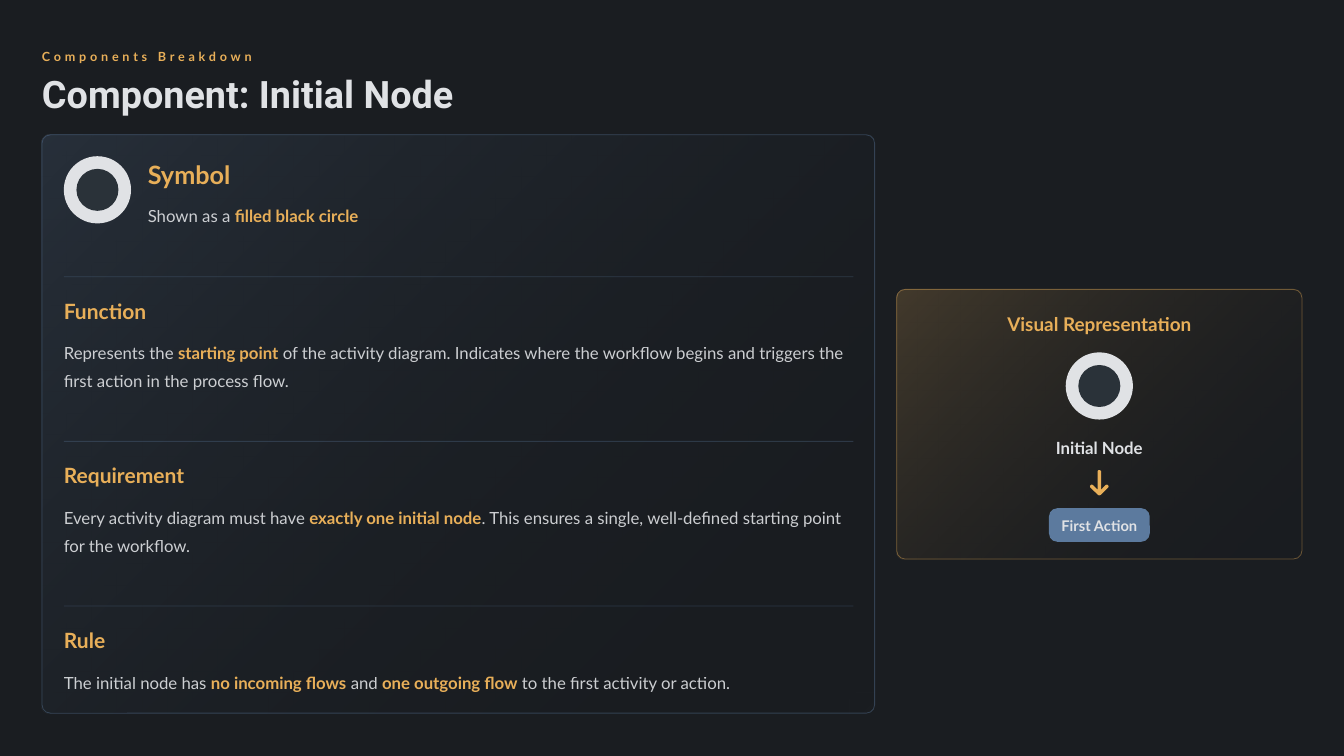
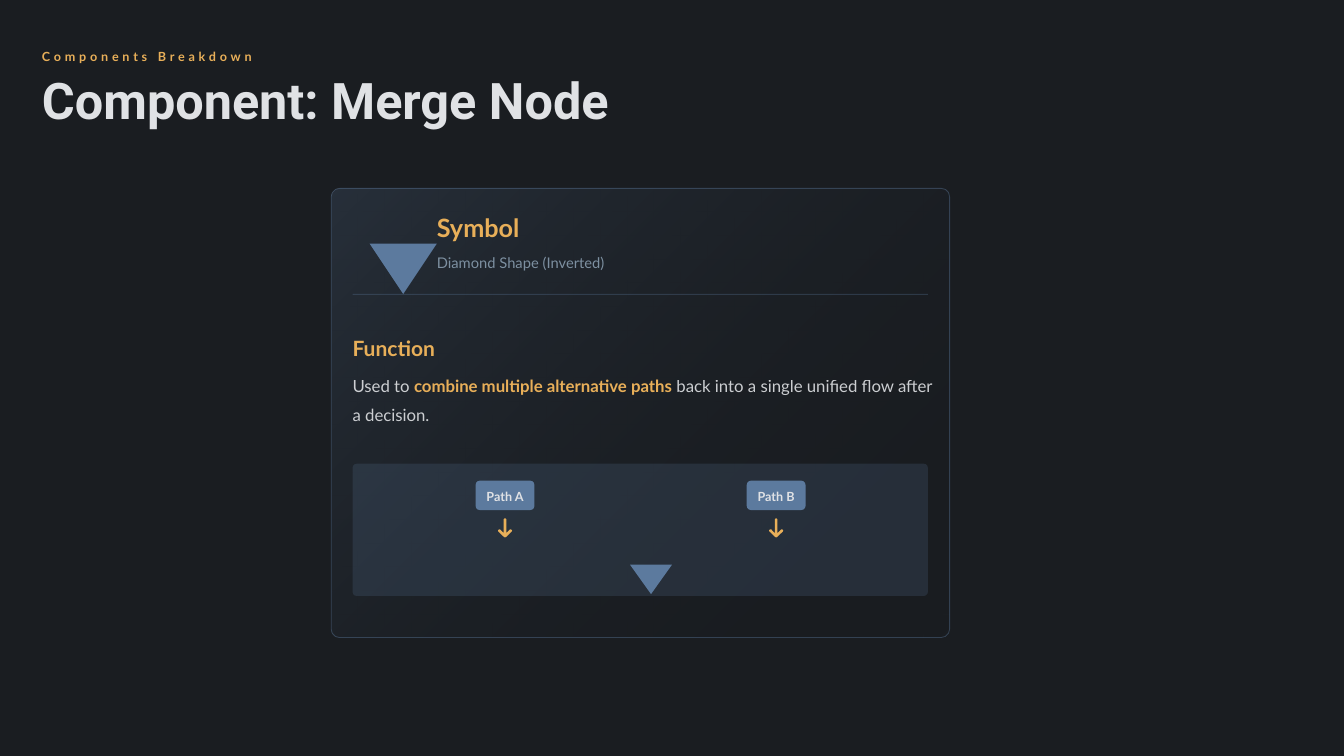
from lxml import etree
from pptx import Presentation
from pptx.dml.color import RGBColor
from pptx.enum.shapes import MSO_CONNECTOR, MSO_SHAPE
from pptx.enum.text import MSO_ANCHOR, PP_ALIGN
from pptx.oxml.ns import qn
from pptx.util import Pt

ROUNDED, OVAL, TRIANGLE = MSO_SHAPE.ROUNDED_RECTANGLE, MSO_SHAPE.OVAL, MSO_SHAPE.ISOSCELES_TRIANGLE
STRAIGHT = MSO_CONNECTOR.STRAIGHT
MIDDLE = MSO_ANCHOR.MIDDLE
LEFT, CENTER = PP_ALIGN.LEFT, PP_ALIGN.CENTER

DARK = RGBColor(0x1A, 0x1D, 0x21)
BLACK = RGBColor(0, 0, 0)
GOLD = RGBColor(0xE8, 0xAF, 0x59)
LIGHT = RGBColor(0xE0, 0xE2, 0xE5)
BLUE = RGBColor(0x5C, 0x7A, 0x9E)
SLATE = RGBColor(0x2A, 0x32, 0x39)
GREY = RGBColor(0x7D, 0x90, 0xA1)

BODY_FONT, TITLE_FONT = "Lato", "Roboto"
MARGIN = 40
RING_SIZE, RING_WIDTH = 64, 12
ARROW_RIGHT_HALF = [
    (0.7, 0), (1.7, 1), (1.7, 18.6), (6.2, 14), (7.6, 13.7),
    (8.9, 15), (8.6, 16.4), (1.2, 23.6), (0, 24),
]


def fade(element, *opacities):
    for color, opacity in zip(element.iter(qn("a:srgbClr")), opacities):
        etree.SubElement(color, qn("a:alpha")).set("val", str(opacity * 1000))


class Deck:
    def __init__(self):
        self.presentation = Presentation()
        self.presentation.slide_width = Pt(1280)
        self.presentation.slide_height = Pt(720)
        self.slide = None

    def start_slide(self, title, top, height, size, spacing):
        self.slide = self.presentation.slides.add_slide(self.presentation.slide_layouts[6])
        fill = self.slide.background.fill
        fill.solid()
        fill.fore_color.rgb = DARK
        self.text("Components Breakdown", MARGIN, 44.8, 238, 16.5, 12, tracking=360)
        self.text(title, MARGIN, top, 1200, height, size, LIGHT, spacing=spacing, font=TITLE_FONT)

    def styled_paragraph(self, frame, size, color, bold, spacing, align, font):
        frame.word_wrap = True
        frame.vertical_anchor = MIDDLE
        frame.margin_left = frame.margin_right = frame.margin_top = frame.margin_bottom = 0
        paragraph = frame.paragraphs[0]
        paragraph.alignment = align
        paragraph.line_spacing = spacing
        paragraph.font.name = font
        paragraph.font.size = Pt(size)
        paragraph.font.bold = bold
        paragraph.font.color.rgb = color
        return paragraph

    def text(self, text, left, top, width, height, size, color=GOLD, bold=True,
             spacing=1.1, align=LEFT, font=BODY_FONT, tracking=None):
        box = self.slide.shapes.add_textbox(Pt(left), Pt(top), Pt(width), Pt(height))
        paragraph = self.styled_paragraph(box.text_frame, size, color, bold, spacing, align, font)
        run = paragraph.add_run()
        run.text = text
        if tracking:
            run._r.get_or_add_rPr().set("spc", str(tracking))

    def rich_text(self, text, left, top, width, height):
        box = self.slide.shapes.add_textbox(Pt(left), Pt(top), Pt(width), Pt(height))
        paragraph = self.styled_paragraph(box.text_frame, 16, LIGHT, False, 1.4, LEFT, BODY_FONT)
        for index, part in enumerate(text.split("*")):
            if not part:
                continue
            run = paragraph.add_run()
            run.text = part
            strong = index % 2 == 1
            run.font.bold = strong
            run.font.color.rgb = GOLD if strong else LIGHT
            if not strong:
                fade(run._r, 90)

    def section(self, heading, body, left, top, width, body_offset, body_height):
        self.text(heading, left, top, width, 28, 20, spacing=1.2)
        self.rich_text(body, left, top + body_offset, width, body_height)

    def shape(self, kind, left, top, width, height, color, radius=None):
        shape = self.slide.shapes.add_shape(kind, Pt(left), Pt(top), Pt(width), Pt(height))
        shape.shadow.inherit = False
        shape.fill.solid()
        shape.fill.fore_color.rgb = color
        shape.line.fill.background()
        if radius:
            shape.adjustments[0] = radius / min(width, height)
        return shape

    def panel(self, left, top, width, height, color):
        panel = self.shape(ROUNDED, left, top, width, height, color, 8)
        panel.fill.gradient()
        panel.fill.gradient_angle = 315
        for stop, position, stop_color in zip(panel.fill.gradient_stops, (0, 1), (color, BLACK)):
            stop.position = position
            stop.color.rgb = stop_color
        panel.line.color.rgb = color
        panel.line.width = Pt(0.8)
        fade(panel._element.spPr, 20, 0, 40)

    def tinted_box(self, left, top, width, height):
        box = self.shape(ROUNDED, left, top, width, height, BLUE, 4)
        fade(box._element.spPr, 20)

    def divider(self, left, y, width):
        line = self.slide.shapes.add_connector(STRAIGHT, Pt(left), Pt(y), Pt(left + width), Pt(y))
        line.line.color.rgb = BLUE
        line.line.width = Pt(0.8)
        properties = line._element.spPr
        fade(properties, 30)
        etree.SubElement(properties, qn("a:effectLst"))

    def ring(self, left, top):
        inner = RING_SIZE - 2 * RING_WIDTH
        self.shape(OVAL, left, top, RING_SIZE, RING_SIZE, LIGHT)
        self.shape(OVAL, left + RING_WIDTH, top + RING_WIDTH, inner, inner, SLATE)

    def merge_triangle(self, left, top, width, height):
        self.shape(TRIANGLE, left, top, width, height, BLUE).rotation = 180

    def pill(self, label, center, top, width, height, size, radius):
        pill = self.shape(ROUNDED, center - width / 2, top, width, height, BLUE, radius)
        paragraph = self.styled_paragraph(pill.text_frame, size, LIGHT, True, 1.1, CENTER, BODY_FONT)
        paragraph.add_run().text = label

    def down_arrow(self, center, top, scale=1):
        mirrored = [(-x, y) for x, y in reversed(ARROW_RIGHT_HALF[:-1])]
        points = [(Pt(center + x * scale), Pt(top + y * scale)) for x, y in ARROW_RIGHT_HALF + mirrored]
        builder = self.slide.shapes.build_freeform(*points[0])
        builder.add_line_segments(points[1:], close=True)
        arrow = builder.convert_to_shape()
        arrow.shadow.inherit = False
        arrow.fill.solid()
        arrow.fill.fore_color.rgb = GOLD
        arrow.line.fill.background()


def build_initial_node(deck):
    deck.start_slide("Component: Initial Node", 72, 40, 36, 0.9)
    deck.panel(MARGIN, 128.4, 793, 550.8, BLUE)
    left = 60.8
    deck.ring(left, 148.8)
    deck.text("Symbol", 140.8, 149, 210, 32, 24)
    deck.rich_text("Shown as a *filled black circle*", 140.8, 188.6, 206, 26)

    sections = [
        ("Function", "Represents the *starting point* of the activity diagram. Indicates where the "
         "workflow begins and triggers the first action in the process flow.", 52),
        ("Requirement", "Every activity diagram must have *exactly one initial node*. This ensures "
         "a single, well-defined starting point for the workflow.", 52),
        ("Rule", "The initial node has *no incoming flows* and *one outgoing flow* to the first "
         "activity or action.", 26),
    ]
    for index, (heading, body, height) in enumerate(sections):
        top = 263.6 + index * 156.8
        deck.divider(left, top, 752)
        deck.section(heading, body, left, top + 16, 761, 40.2, height)

    panel_left, panel_width = 854, 386
    center = panel_left + panel_width / 2
    deck.panel(panel_left, 275.6, panel_width, 256.8, GOLD)
    deck.text("Visual Representation", center - 181, 291.6, 362, 28, 18, spacing=1.3, align=CENTER)
    deck.ring(center - RING_SIZE / 2, 335.6)
    deck.text("Initial Node", center - 44, 411.8, 88, 24, 16, LIGHT, spacing=1.3, align=CENTER)
    deck.down_arrow(center, 447.8)
    deck.pill("First Action", center, 484, 96, 32, 14, 8)


def build_merge_node(deck):
    deck.start_slide("Component: Merge Node", 76.3, 48, 48, 0.8)
    deck.panel(315.4, 179.4, 589, 427.8, BLUE)
    left, width = 335.8, 548
    deck.merge_triangle(352, 232, 64, 48)
    deck.text("Symbol", 416, 199.4, 171, 32, 24)
    deck.text("Diamond Shape (Inverted)", 416, 240.5, 167, 16, 14, GREY, False, 1.2)
    deck.divider(left, 280.4, width)
    deck.section("Function", "Used to *combine multiple alternative paths* back into a single "
                 "unified flow after a decision.", left, 315.4, 556, 36, 52)

    deck.tinted_box(left, 441.6, width, 126)
    for index, label in enumerate(("Path A", "Path B")):
        center = 481 + index * 258.2
        deck.pill(label, center, 457.8, 56, 28, 12, 4)
        deck.down_arrow(center, 493.8, 0.75)
    deck.merge_triangle(600, 537.8, 40, 28)


def main():
    deck = Deck()
    build_initial_node(deck)
    build_merge_node(deck)
    deck.presentation.save("out.pptx")


if __name__ == "__main__":
    main()
